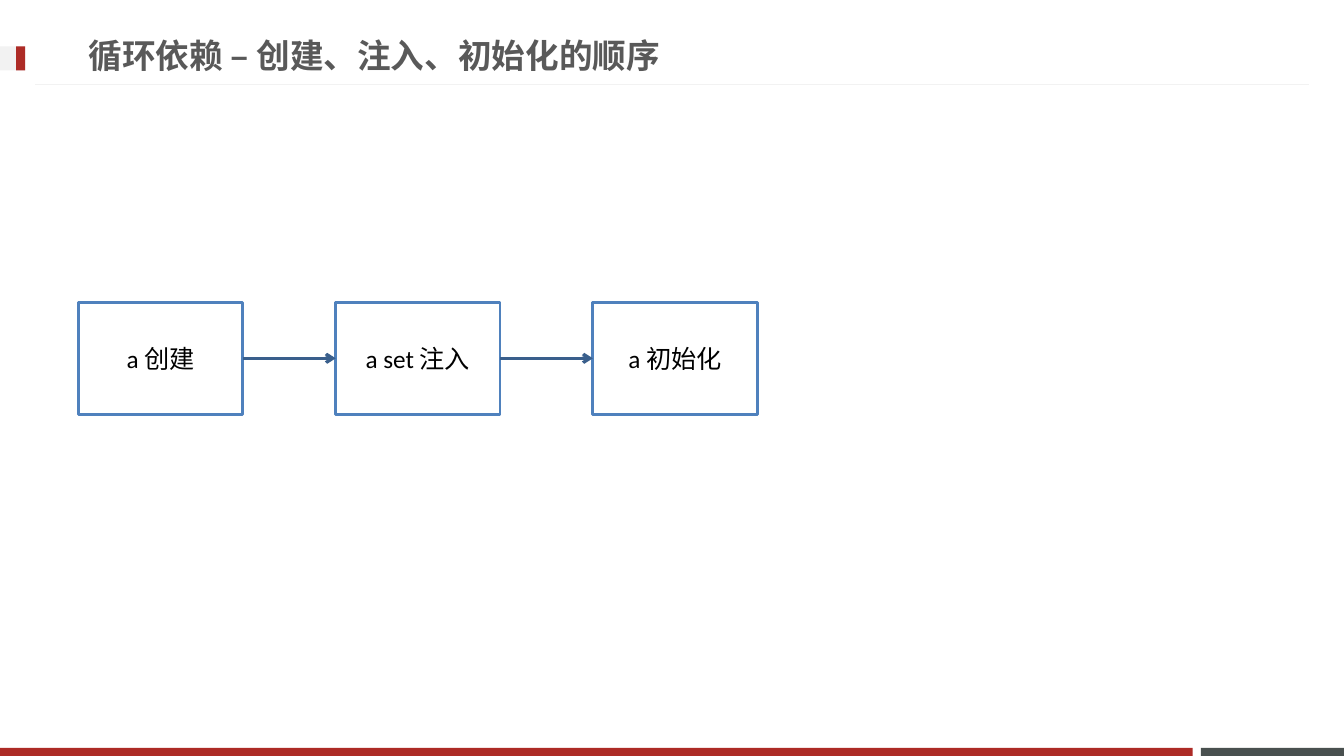
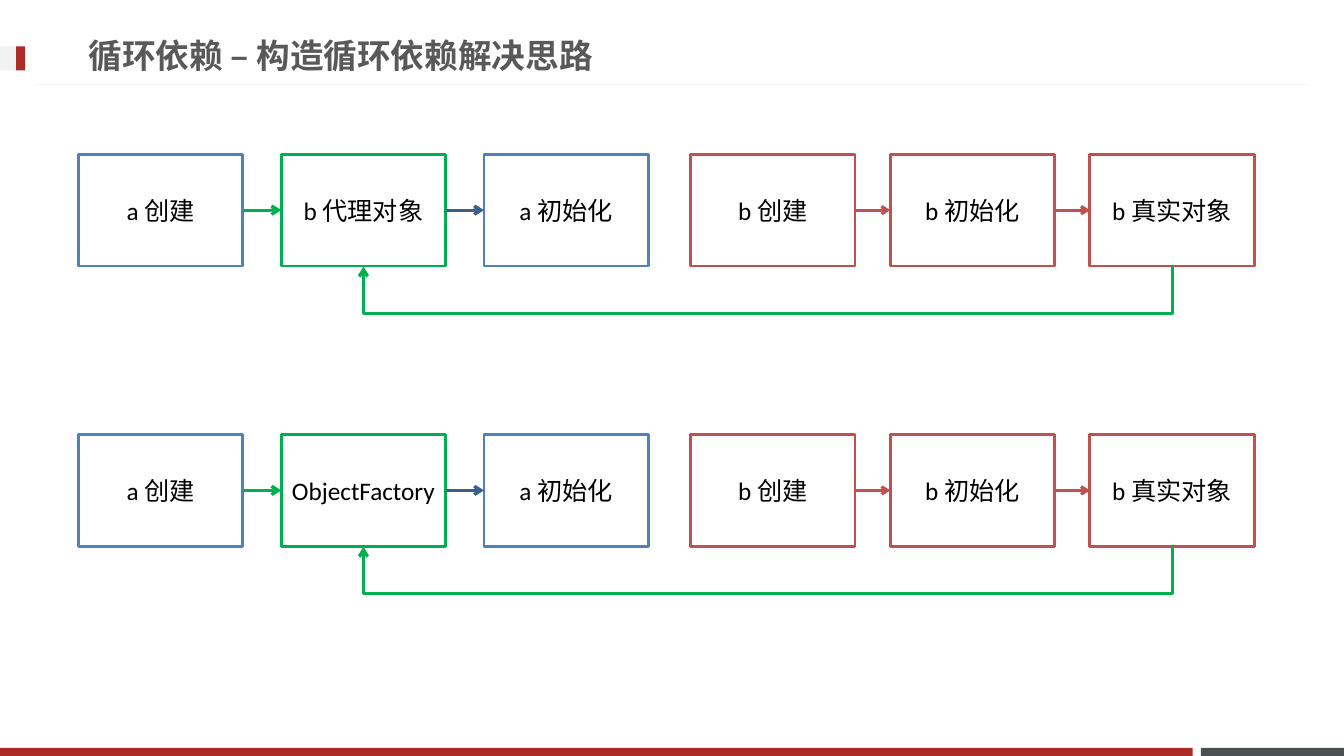
import pptx
import pptx.util
import pptx.dml.color
import pptx.enum.shapes
import pptx.enum.text
import pptx.oxml.ns
import lxml.etree

# Content: each chain has a left edge, a step, a top and its boxes;
# a box holds text, its line colour and the (colour, width) of the arrow after it
BLUE, NAVY, GREEN, RED = "4F81BD", "3A5F8C", "00B050", "C0504D"
GREY, PALE, BRAND, SLATE = "595959", "F2F2F2", "AD2B26", "49504F"
LEFT, RIGHT = 0.78, 6.85


def pair(proxy, top):
    """One solution: the chain of a and the chain of b."""
    return [
        (LEFT, 2.01, top, [("a 创建", BLUE, (GREEN, 2.25)),
                           (proxy, GREEN, (NAVY, 2.25)),
                           ("a 初始化", BLUE, None)]),
        (RIGHT, 1.98, top, [("b 创建", RED, (RED, 2)),
                            ("b 初始化", RED, (RED, 2)),
                            ("b 真实对象", RED, None)]),
    ]


# A link joins (chain, box) to (chain, box) from below
SLIDES = [
    {"title": "循环依赖 – 创建、注入、初始化的顺序",
     "chains": [(LEFT, 2.55, 3, [("a 创建", BLUE, (NAVY, 2.25)),
                                 ("a set 注入", BLUE, (NAVY, 2.25)),
                                 ("a 初始化", BLUE, None)])],
     "links": []},
    {"title": "循环依赖 – 构造循环依赖解决思路",
     "chains": pair("b 代理对象", 1.53) + pair("ObjectFactory", 4.31),
     "links": [((0, 1), (1, 2)), ((2, 1), (3, 2))]},
]

# Shared format
WIDE, HIGH = 13.33, 7.5
BOX_W, BOX_H = 1.63, 1.11
DROP, SLIM = 0.48, 0.01
BANDS = [(11.91, 7.42, 1.42, 0.08, SLATE), (0, 7.42, 11.83, 0.08, BRAND),
         (0, 0.46, 0.25, 0.24, PALE), (0.16, 0.46, 0.09, 0.24, BRAND)]
RULE = (12.98, 0.84, 0.35, 0.84)
TITLE = (LEFT, 0.26, 9.59, 0.57)
HEAD = {"name": "Arial", "size": pptx.util.Pt(24), "bold": True}
BODY = {"name": "Calibri", "size": pptx.util.Pt(18)}
KIND = pptx.enum.shapes.MSO_CONNECTOR
ALIGN = pptx.enum.text.PP_ALIGN
BELOW, WEST, EAST = 2, 1, 3


def inch(*nums):
    return [pptx.util.Inches(num) for num in nums]


def tint(part, code):
    part.rgb = pptx.dml.color.RGBColor.from_string(code)


def write(shape, text, form, code, align):
    frame = shape.text_frame
    frame.word_wrap = True
    frame.vertical_anchor = pptx.enum.text.MSO_ANCHOR.MIDDLE
    para = frame.paragraphs[0]
    para.alignment = align
    run = para.add_run()
    run.text = text
    for key, value in form.items():
        setattr(run.font, key, value)
    tint(run.font.color, code)


def block(slide, place, fill, edge=None):
    kind = pptx.enum.shapes.MSO_SHAPE.RECTANGLE
    shape = slide.shapes.add_shape(kind, *inch(*place))
    shape.shadow.inherit = False
    shape.fill.solid()
    tint(shape.fill.fore_color, fill)
    if edge:
        tint(shape.line.color, edge)
        shape.line.width = pptx.util.Pt(2)
    else:
        shape.line.fill.background()
    return shape


def wire(slide, kind, ends, code, width, arrow=True):
    line = slide.shapes.add_connector(kind, *inch(*ends))
    tint(line.line.color, code)
    line.line.width = pptx.util.Pt(width)
    tag = pptx.oxml.ns.qn
    props = line._element.spPr
    if arrow:
        edge = props.find(tag("a:ln"))
        lxml.etree.SubElement(edge, tag("a:tailEnd"), type="arrow")
    lxml.etree.SubElement(props, tag("a:effectLst"))
    return line


def join(line, first, last, start, end):
    line.begin_connect(first, start)
    line.end_connect(last, end)


def loop(slide, first, last):
    """Elbow that drops below both boxes: a slim frame on its side."""
    line = wire(slide, KIND.ELBOW, (0, 0, 1, 1), GREEN, 2.25)
    join(line, first, last, BELOW, BELOW)
    span = last.left - first.left
    mid = first.left + (first.width + span) // 2
    base = first.top + first.height
    slim, drop = inch(SLIM, DROP)
    form = {"left": mid - slim // 2, "top": base - span // 2,
            "width": slim, "height": span}
    for key, value in form.items():
        setattr(line, key, value)
    tag = pptx.oxml.ns.qn
    props = line._element.spPr
    frame = props.find(tag("a:xfrm"))
    for key, value in {"rot": "16200000", "flipH": "1"}.items():
        frame.set(key, value)
    guides = props.find(tag("a:prstGeom")).find(tag("a:avLst"))
    bend = round(drop / slim * 100000)
    lxml.etree.SubElement(guides, tag("a:gd"), name="adj1", fmla=f"val {bend}")


def chain(slide, left, step, top, items):
    boxes = []
    for col, (text, edge, _) in enumerate(items):
        place = (left + col * step, top, BOX_W, BOX_H)
        box = block(slide, place, "FFFFFF", edge)
        write(box, text, BODY, "000000", ALIGN.CENTER)
        boxes.append(box)
    for (_, _, arrow), first, last in zip(items, boxes, boxes[1:]):
        line = wire(slide, KIND.STRAIGHT, (0, 0, 1, 1), *arrow)
        join(line, first, last, EAST, WEST)
    return boxes


def base(deck, title):
    """Blank slide with bands, rule and title."""
    slide = deck.slides.add_slide(deck.slide_layouts[6])
    for *place, fill in BANDS:
        block(slide, place, fill)
    wire(slide, KIND.STRAIGHT, RULE, PALE, 0.75, arrow=False)
    label = slide.shapes.add_textbox(*inch(*TITLE))
    write(label, title, HEAD, GREY, ALIGN.LEFT)
    return slide


# Build
deck = pptx.Presentation()
deck.slide_width, deck.slide_height = inch(WIDE, HIGH)
for page in SLIDES:
    slide = base(deck, page["title"])
    rows = [chain(slide, *row) for row in page["chains"]]
    for (row, col), (to_row, to_col) in page["links"]:
        loop(slide, rows[row][col], rows[to_row][to_col])
deck.save("out.pptx")
